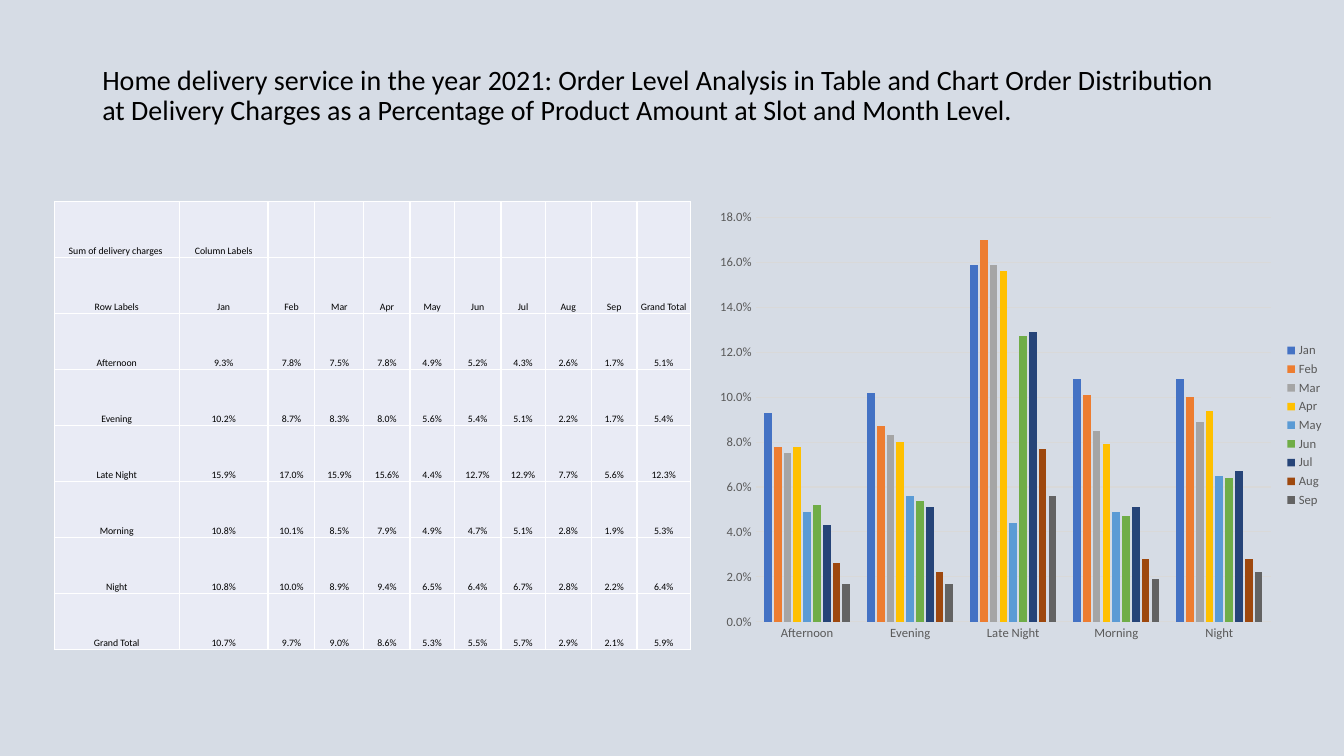
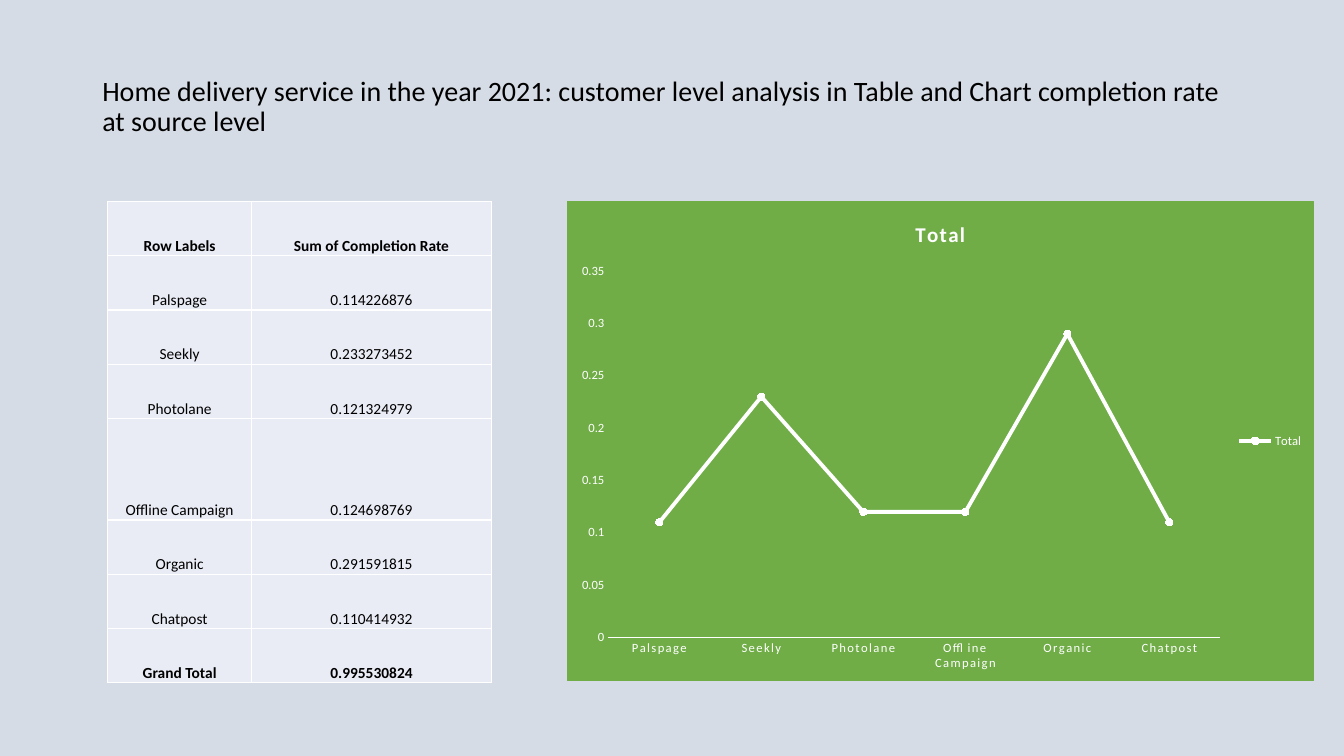
from lxml import etree
from pptx import Presentation
from pptx.chart.data import CategoryChartData
from pptx.dml.color import RGBColor
from pptx.enum.chart import XL_CHART_TYPE, XL_LEGEND_POSITION, XL_MARKER_STYLE, XL_TICK_MARK
from pptx.enum.text import MSO_ANCHOR, PP_ALIGN
from pptx.oxml import parse_xml
from pptx.oxml.ns import nsdecls, qn
from pptx.util import Pt

COLUMNS = XL_CHART_TYPE.COLUMN_CLUSTERED
LINE = XL_CHART_TYPE.LINE_MARKERS
RIGHT = XL_LEGEND_POSITION.RIGHT
CIRCLE = XL_MARKER_STYLE.CIRCLE
NO_TICK = XL_TICK_MARK.NONE
BOTTOM = MSO_ANCHOR.BOTTOM
MIDDLE = MSO_ANCHOR.MIDDLE
CENTER = PP_ALIGN.CENTER

FONT = "Calibri"
COLORS = {
    "background": "D6DCE5",
    "cell": "E9EBF5",
    "text": "000000",
    "white": "FFFFFF",
    "axis text": "595959",
    "grid": "D9D9D9",
    "green": "70AD47",
}
MONTH_COLORS = ["4472C4", "ED7D31", "A5A5A5", "FFC000", "5B9BD5",
                "70AD47", "264478", "9E480E", "636363"]
RGB = {name: RGBColor.from_string(value) for name, value in COLORS.items()}
TABLE_TOP = 144
CHART_TOP = 143.6

deck = Presentation()
deck.slide_width, deck.slide_height = Pt(960), Pt(540)
master_fill = deck.slide_master.background.fill
master_fill.solid()
master_fill.fore_color.rgb = RGB["background"]


def add_page(title, title_top, rows, left, widths, heights, size, inset, bold_rows):
    """Add a slide with its title and the table on the left."""
    page = deck.slides.add_slide(deck.slide_layouts[6])
    box = page.shapes.add_textbox(Pt(66), Pt(title_top), Pt(828), Pt(104.4))
    box.text_frame.word_wrap = True
    box.text_frame.vertical_anchor = MIDDLE
    para = box.text_frame.paragraphs[0]
    para.line_spacing = 0.9
    span = para.add_run()
    span.text = title
    span.font.size = Pt(20)
    span.font.name = FONT
    span.font.color.rgb = RGB["text"]

    table = page.shapes.add_table(
        len(rows), len(widths), Pt(left), Pt(TABLE_TOP),
        Pt(sum(widths)), Pt(sum(heights))).table
    table.first_row = table.horz_banding = False
    for column, width in zip(table.columns, widths):
        column.width = Pt(width)
    for row_index, (row, height, texts) in enumerate(zip(table.rows, heights, rows)):
        row.height = Pt(height)
        for cell, text in zip(row.cells, texts):
            properties = cell._tc.get_or_add_tcPr()
            for side in "LRTB":
                properties.append(parse_xml(
                    f'<a:ln{side} {nsdecls("a")} w="12700"><a:solidFill>'
                    f'<a:srgbClr val="{COLORS["white"]}"/></a:solidFill></a:ln{side}>'))
            cell.fill.solid()
            cell.fill.fore_color.rgb = RGB["cell"]
            cell.vertical_anchor = BOTTOM
            cell.margin_left = cell.margin_right = cell.margin_top = Pt(inset)
            cell.margin_bottom = 0
            para = cell.text_frame.paragraphs[0]
            para.alignment = CENTER
            if text:
                span = para.add_run()
                span.text = text
                span.font.size = Pt(size)
                span.font.name = FONT
                span.font.bold = row_index in bold_rows
                span.font.color.rgb = RGB["text"]
    return page


def style_chart(chart, text_color, line_color, line_width, top_value, step, area_fill):
    """Set fonts, axes, legend and chart area; area_fill None leaves it clear."""
    chart.font.name = FONT
    chart.font.size = Pt(10)
    chart.font.color.rgb = RGB["text"]
    chart.has_legend = True
    chart.legend.position = RIGHT
    chart.legend.include_in_layout = False
    for axis in (chart.category_axis, chart.value_axis):
        axis.major_tick_mark = axis.minor_tick_mark = NO_TICK
    for part in (chart.category_axis.tick_labels, chart.value_axis.tick_labels, chart.legend):
        part.font.name = FONT
        part.font.size = Pt(9)
        part.font.color.rgb = RGB[text_color]
    chart.category_axis.format.line.color.rgb = RGB[line_color]
    chart.category_axis.format.line.width = Pt(line_width)
    chart.value_axis.format.line.fill.background()
    chart.value_axis.minimum_scale = 0
    chart.value_axis.maximum_scale = top_value
    chart.value_axis.major_unit = step

    area = etree.Element(qn("c:spPr"))
    line = etree.Element(qn("a:ln"), w="9525")
    for parent in (area, line):
        if area_fill:
            solid = etree.SubElement(parent, qn("a:solidFill"))
            etree.SubElement(solid, qn("a:srgbClr"), val=COLORS[area_fill])
        else:
            etree.SubElement(parent, qn("a:noFill"))
    area.append(line)
    chart._chartSpace.find(qn("c:chart")).addnext(area)


# Delivery charges by slot and month
months = ["Jan", "Feb", "Mar", "Apr", "May", "Jun", "Jul", "Aug", "Sep"]
slot_rows = [
    ["Afternoon", "9.3%", "7.8%", "7.5%", "7.8%", "4.9%", "5.2%", "4.3%", "2.6%", "1.7%", "5.1%"],
    ["Evening", "10.2%", "8.7%", "8.3%", "8.0%", "5.6%", "5.4%", "5.1%", "2.2%", "1.7%", "5.4%"],
    ["Late Night", "15.9%", "17.0%", "15.9%", "15.6%", "4.4%", "12.7%", "12.9%", "7.7%", "5.6%",
     "12.3%"],
    ["Morning", "10.8%", "10.1%", "8.5%", "7.9%", "4.9%", "4.7%", "5.1%", "2.8%", "1.9%", "5.3%"],
    ["Night", "10.8%", "10.0%", "8.9%", "9.4%", "6.5%", "6.4%", "6.7%", "2.8%", "2.2%", "6.4%"],
]
slot_total = ["Grand Total", "10.7%", "9.7%", "9.0%", "8.6%", "5.3%", "5.5%", "5.7%", "2.9%",
              "2.1%", "5.9%"]
slot_table = [
    ["Sum of delivery charges ", "Column Labels"] + [""] * 9,
    ["Row Labels", *months, "Grand Total"],
    *slot_rows,
    slot_total,
]
page = add_page(
    "Home delivery service in the year 2021: Order Level Analysis in Table and Chart Order "
    "Distribution at Delivery Charges as a Percentage of Product Amount at Slot and Month Level.",
    16.6, slot_table, left=38.7, widths=[89.4, 63.4, 33.5, 35, 33, 31.5, 33.5, 31.5, 33, 32.7, 38],
    heights=[40] * 8, size=7, inset=0, bold_rows=())

data = CategoryChartData(number_format="0.0%")
data.categories = [row[0] for row in slot_rows]
for column, month in enumerate(months, start=1):
    data.add_series(month, [round(float(row[column].rstrip("%")) / 100, 3) for row in slot_rows])
chart = page.shapes.add_chart(
    COLUMNS, Pt(505.5), Pt(CHART_TOP), Pt(447.4), Pt(320.4), data).chart
chart.has_title = False
style_chart(chart, "axis text", "grid", 0.75, 0.18, 0.02, None)
chart.value_axis.tick_labels.number_format = "0.0%"
chart.value_axis.tick_labels.number_format_is_linked = False
grid_line = chart.value_axis.major_gridlines.format.line
grid_line.color.rgb = RGB["grid"]
grid_line.width = Pt(0.75)
plot = chart.plots[0]
plot.vary_by_categories = False
plot.gap_width = 219
plot.overlap = -27
for series, color in zip(plot.series, MONTH_COLORS):
    series.format.fill.solid()
    series.format.fill.fore_color.rgb = RGBColor.from_string(color)

# Completion rate by source
source_rows = [
    ["Palspage", "0.114226876"],
    ["Seekly", "0.233273452"],
    ["Photolane", "0.121324979"],
    ["Offline Campaign", "0.124698769"],
    ["Organic", "0.291591815"],
    ["Chatpost", "0.110414932"],
]
source_table = [
    ["Row Labels", "Sum of Completion Rate"],
    *source_rows,
    ["Grand Total", "0.995530824"],
]
page = add_page(
    "Home delivery service in the year 2021: customer level analysis in Table and Chart "
    "completion rate at source level",
    24.5, source_table, left=77, widths=[102.7, 171.5],
    heights=[72.7 if row[0] == "Offline Campaign" else 38.7 for row in source_table],
    size=11, inset=0.7, bold_rows=(0, len(source_table) - 1))

data = CategoryChartData()
data.categories = [row[0] for row in source_rows]
data.add_series("Total", [round(float(row[1]), 2) for row in source_rows])
chart = page.shapes.add_chart(
    LINE, Pt(404.7), Pt(CHART_TOP), Pt(533.9), Pt(342.7), data).chart
style_chart(chart, "white", "white", 1, 0.35, 0.05, "green")
chart.value_axis.has_major_gridlines = False
chart.has_title = True
chart.chart_title.include_in_layout = False
span = chart.chart_title.text_frame.paragraphs[0].add_run()
span.text = "Total"
span.font.size = Pt(15)
span.font.name = FONT
span.font.bold = True
span.font.color.rgb = RGB["white"]
for font in (span.font, chart.category_axis.tick_labels.font):
    font._element.set("spc", "100")
plot = chart.plots[0]
plot.vary_by_categories = False
series = plot.series[0]
series.smooth = False
series.format.line.color.rgb = RGB["white"]
series.format.line.width = Pt(2.75)
series.marker.style = CIRCLE
series.marker.size = 5
series.marker.format.fill.solid()
series.marker.format.fill.fore_color.rgb = RGB["white"]
series.marker.format.line.color.rgb = RGB["white"]

deck.save("out.pptx")
